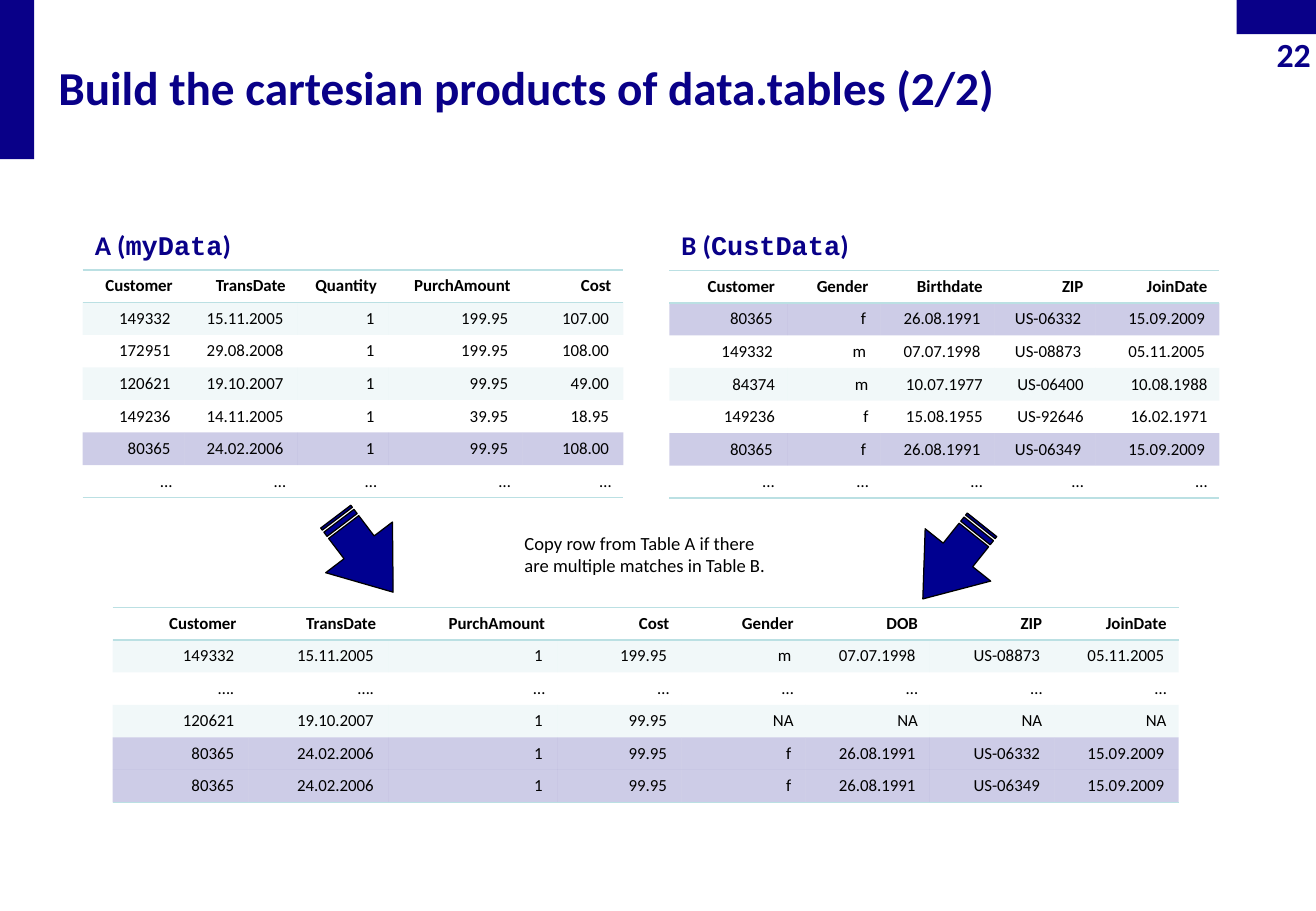
from lxml import etree
from pptx import Presentation
from pptx import util as u
from pptx.dml import color
from pptx.enum import shapes, text
from pptx.oxml import ns

COLORS = {"navy": "090088", "arrow": "000090", "aqua": "BBE0E3", "black": "000000"}
FILLS = {"band": "aqua", "match": "navy"}
FILLERS = ("...", "…", "NA")
NO_STYLE = "{2D5ABB26-0587-4C30-8999-92F81FD0307C}"
ROW_HEIGHT = 19.3

TABLE_A = [
    ("head", "Customer TransDate Quantity PurchAmount Cost"),
    ("band", "149332 15.11.2005 1 199.95 107.00"),
    ("plain", "172951 29.08.2008 1 199.95 108.00"),
    ("band", "120621 19.10.2007 1 99.95 49.00"),
    ("plain", "149236 14.11.2005 1 39.95 18.95"),
    ("match", "80365 24.02.2006 1 99.95 108.00"),
    ("plain", "... … … … …"),
]
TABLE_B = [
    ("head", "Customer Gender Birthdate ZIP JoinDate"),
    ("match", "80365 f 26.08.1991 US-06332 15.09.2009"),
    ("plain", "149332 m 07.07.1998 US-08873 05.11.2005"),
    ("band", "84374 m 10.07.1977 US-06400 10.08.1988"),
    ("plain", "149236 f 15.08.1955 US-92646 16.02.1971"),
    ("match", "80365 f 26.08.1991 US-06349 15.09.2009"),
    ("plain", "... … … … …"),
]
TABLE_JOINED = [
    ("head", "Customer TransDate PurchAmount Cost Gender DOB ZIP JoinDate"),
    ("band", "149332 15.11.2005 1 199.95 m 07.07.1998 US-08873 05.11.2005"),
    ("plain", "…. …. … … … … … …"),
    ("band", "120621 19.10.2007 1 99.95 NA NA NA NA"),
    ("match", "80365 24.02.2006 1 99.95 f 26.08.1991 US-06332 15.09.2009"),
    ("match", "80365 24.02.2006 1 99.95 f 26.08.1991 US-06349 15.09.2009"),
]


def rgb(name):
    return color.RGBColor.from_string(COLORS[name])


def style_span(span, size, tint="navy", bold=True, face="Calibri"):
    span.font.name = face
    span.font.size = u.Pt(size)
    span.font.bold = bold
    span.font.color.rgb = rgb(tint)


def place(item, left, top, width, height):
    item.left, item.top = u.Pt(left), u.Pt(top)
    item.width, item.height = u.Pt(width), u.Pt(height)


def add_block(page, kind, bounds, tint, outlined=False):
    block = page.shapes.add_shape(kind, *map(u.Pt, bounds))
    block.shadow.inherit = False
    block.fill.solid()
    block.fill.fore_color.rgb = rgb(tint)
    if outlined:
        block.line.color.rgb = rgb("black")
        block.line.width = u.Pt(0.75)
    else:
        block.line.fill.background()
    return block


def add_arrow(page, left, top, angle):
    arrow = add_block(page, shapes.MSO_SHAPE.STRIPED_RIGHT_ARROW,
                      (left, top, 56.2, 49.7), "arrow", True)
    arrow.adjustments[0] = 0.451
    arrow.adjustments[1] = 0.671
    arrow.rotation = angle


def add_label(page, bounds, wording, size, tint, bold):
    box = page.shapes.add_textbox(*map(u.Pt, bounds))
    box.text_frame.word_wrap = True
    box.text_frame.text = wording
    para = box.text_frame.paragraphs[0]
    style_span(para.runs[0], size, tint, bold)
    return box.text_frame


def fill_title(title, wording):
    place(title, 27.4, 28.8, 704.2, 44.6)
    frame = title.text_frame
    frame.text = wording
    frame.auto_size = text.MSO_AUTO_SIZE.NONE
    frame.vertical_anchor = text.MSO_ANCHOR.MIDDLE
    para = frame.paragraphs[0]
    para.alignment = text.PP_ALIGN.LEFT
    style_span(para.runs[0], 28)


def fill_heading(body, left, letter, name):
    place(body, left, 122.4, 334.1, 344.9)
    frame = body.text_frame
    frame.auto_size = text.MSO_AUTO_SIZE.NONE
    para = frame.paragraphs[0]
    props = para._p.get_or_add_pPr()
    props.set("marL", "0")
    props.set("indent", "0")
    etree.SubElement(props, ns.qn("a:buNone"))
    para.line_spacing = 1.5
    para.space_before = u.Pt(0)
    para.space_after = u.Pt(6)
    for wording, face in ((letter + " (", "Calibri"), (name, "Courier New"), (")", "Calibri")):
        span = para.add_run()
        span.text = wording
        style_span(span, 16, face=face)


def add_border(cell, side):
    line = etree.SubElement(cell._tc.get_or_add_tcPr(), ns.qn("a:" + side), w=str(u.Pt(1)))
    paint = etree.SubElement(line, ns.qn("a:solidFill"))
    etree.SubElement(paint, ns.qn("a:srgbClr"), val=COLORS["aqua"])


def fill_cell(cell, kind):
    if kind not in FILLS:
        cell.fill.background()
        return
    cell.fill.solid()
    cell.fill.fore_color.rgb = rgb(FILLS[kind])
    tone = cell._tc.tcPr.find(".//" + ns.qn("a:solidFill") + "/" + ns.qn("a:srgbClr")
                              + "[@val='" + COLORS[FILLS[kind]] + "']")
    tone = cell._tc.tcPr.find(ns.qn("a:solidFill"))[0] if tone is None else tone
    tone = cell._tc.tcPr.find(ns.qn("a:solidFill"))[0]
    etree.SubElement(tone, ns.qn("a:alpha"), val="20000")


def format_cell(cell, wording, kind, tight, last):
    head = kind == "head"
    cell.text = wording
    cell.vertical_anchor = text.MSO_ANCHOR.TOP if head else text.MSO_ANCHOR.MIDDLE
    cell.margin_left = cell.margin_right = u.Pt(7.2 if tight else 8.6)
    cell.margin_top = cell.margin_bottom = u.Pt(3.6)
    para = cell.text_frame.paragraphs[0]
    para.alignment = text.PP_ALIGN.RIGHT
    style_span(para.runs[0], 10, "black", head)
    if head:
        add_border(cell, "lnT")
    if head or last:
        add_border(cell, "lnB")
    fill_cell(cell, kind)


def add_data_table(page, left, top, widths, rows, tight_ids=()):
    frame = page.shapes.add_table(len(rows), len(widths), u.Pt(left), u.Pt(top),
                                  u.Pt(sum(widths)), u.Pt(ROW_HEIGHT * len(rows)))
    table = frame.table
    table.first_row = table.horz_banding = False
    table._tbl.tblPr.find(ns.qn("a:tableStyleId")).text = NO_STYLE
    for column, width in zip(table.columns, widths):
        column.width = u.Pt(width)
    for index, (kind, line) in enumerate(rows):
        table.rows[index].height = u.Pt(ROW_HEIGHT)
        values = line.split()
        tight_row = kind == "head" or values[0] in tight_ids
        for cell, value in zip(table.rows[index].cells, values):
            format_cell(cell, value, kind, tight_row or value in FILLERS,
                        index == len(rows) - 1)


def main():
    deck = Presentation()
    deck.slide_width, deck.slide_height = u.Pt(780), u.Pt(540)
    page = deck.slides.add_slide(deck.slide_layouts[3])
    title, left_body, right_body = page.placeholders

    for bounds in ((0, 0, 20.2, 94.3), (733, 0, 47, 20.2)):
        add_block(page, shapes.MSO_SHAPE.RECTANGLE, bounds, "navy")
    number = add_label(page, (733, 17.3, 46.8, 29.5), "22", 20, "navy", True)
    number.margin_left = number.margin_right = u.Pt(2.9)
    number.margin_top = number.margin_bottom = u.Pt(2.9)
    number.paragraphs[0].alignment = text.PP_ALIGN.RIGHT

    fill_title(title, "Build the cartesian products of data.tables (2/2)")
    fill_heading(left_body, 49, "A", "myData")
    fill_heading(right_body, 396.7, "B", "CustData")
    add_label(page, (303.8, 311.8, 159.1, 33.8),
              "Copy row from Table A if there are multiple matches in Table B.",
              11, "black", False)

    add_data_table(page, 49, 160, [60.5, 67, 54, 79.2, 59.8], TABLE_A)
    add_data_table(page, 396.7, 160.3, [69.8, 55.4, 67.7, 59.8, 73.4], TABLE_B,
                   ("84374", "149236"))
    add_data_table(page, 66.7, 360, [80.6, 82.8, 100.1] + [73.7] * 5, TABLE_JOINED)

    add_arrow(page, 187.9, 303.8, 52.8)
    add_arrow(page, 536.4, 308.2, 128.6)
    deck.save("out.pptx")


if __name__ == "__main__":
    main()
